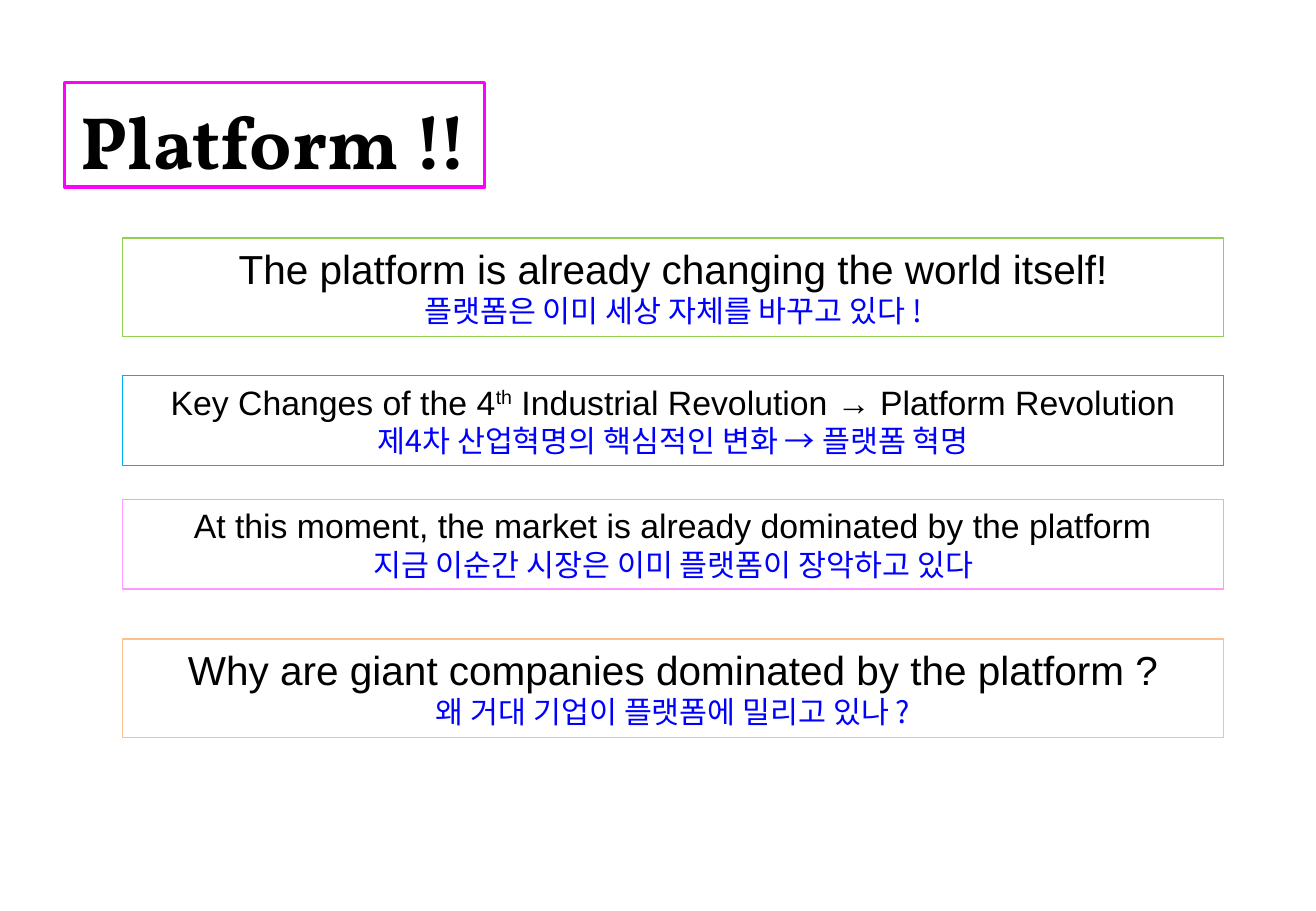
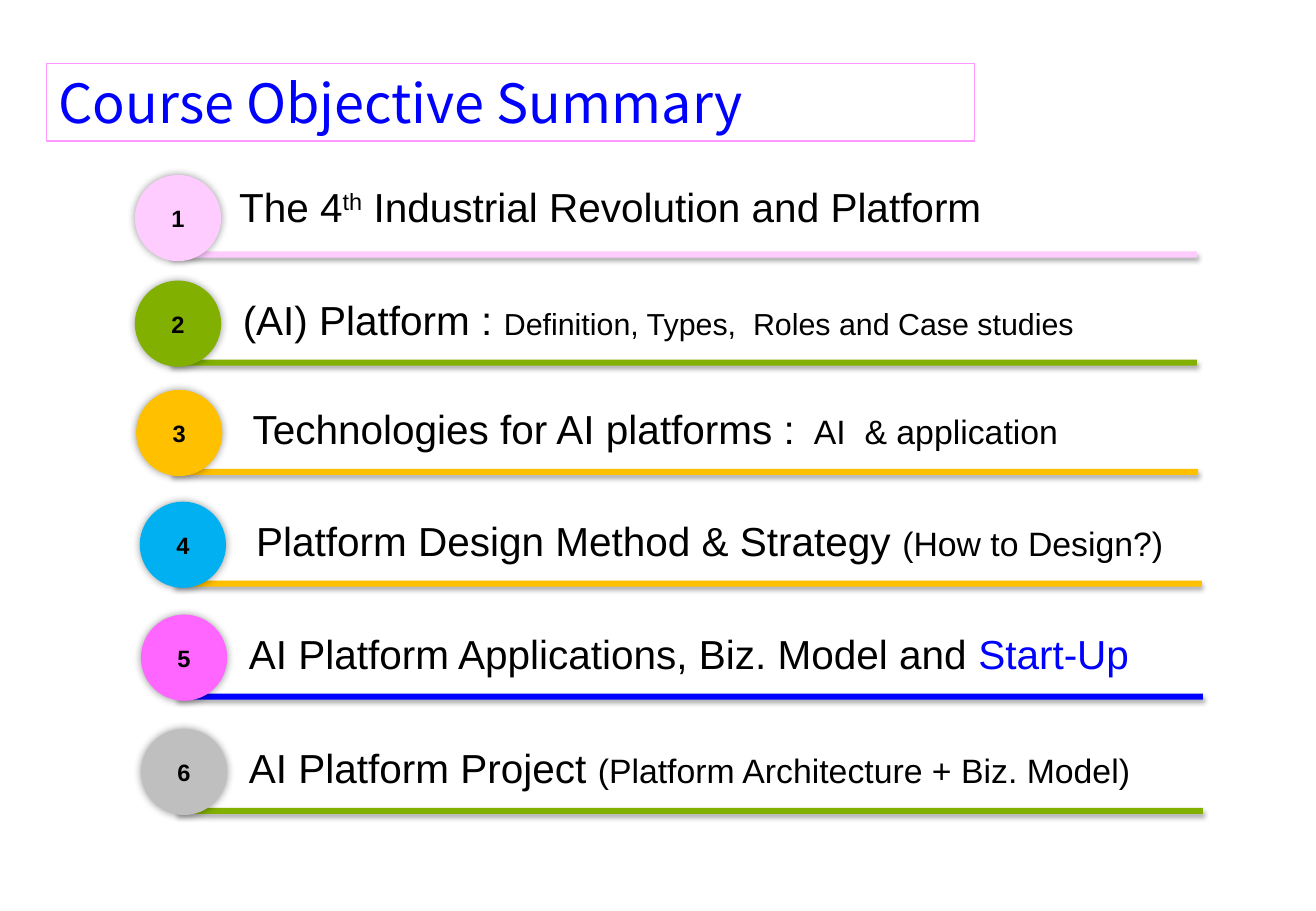
from lxml.etree import SubElement
from pptx import Presentation
from pptx.dml.color import RGBColor
from pptx.enum.shapes import MSO_SHAPE
from pptx.enum.text import MSO_ANCHOR, MSO_AUTO_SIZE, PP_ALIGN
from pptx.oxml.ns import qn
from pptx.util import Emu, Pt

EMU_PER_PX = 9144  # 100 px to the inch
SLIDE_WIDTH, SLIDE_HEIGHT = 1083, 750
TITLE_ONLY = 5

COLOURS = {
    "black": "000000", "blue": "0000FF", "magenta": "FF00FF", "pink": "FF99FF",
    "light pink": "FFCCFF", "hot pink": "FF66FF", "lime": "92D050",
    "olive": "82B000", "sky": "00B0F0", "amber": "FFC000",
    "peach": "FAC090", "grey": "BFBFBF",
}
KOREAN_FONT = "Noto Sans CJK KR"
BODY = {"name": "Arial", "size": 24, "bold": False, "colour": "black"}
KOREAN = {"name": KOREAN_FONT, "size": 18, "colour": "blue"}
RAISED = {"raised": 30}
MEDIUM = {"size": 20}
BADGE = {"size": 14, "bold": True}
BAR_SHADOW = {"blur": 3.1, "distance": 1.8, "angle": 90, "opacity": 35}
BADGE_SHADOW = {"blur": 5, "distance": 0, "angle": 0, "opacity": 40}


def px(length):
    return Emu(length * EMU_PER_PX)


def colour(name):
    return RGBColor.from_string(COLOURS[name])


class Deck:
    """Holds the presentation, its style and the current slide."""

    def __init__(self):
        self.presentation = Presentation()
        self.presentation.slide_width = px(SLIDE_WIDTH)
        self.presentation.slide_height = px(SLIDE_HEIGHT)

    def add_slide(self):
        layout = self.presentation.slide_layouts[TITLE_ONLY]
        self.slide = self.presentation.slides.add_slide(layout)

    def set_text(self, shape, paragraphs, align=PP_ALIGN.LEFT,
                 anchor=MSO_ANCHOR.TOP, wrap=True):
        """Fill a shape; each paragraph is a list of (text, format) runs."""
        frame = shape.text_frame
        settings = {"word_wrap": wrap, "vertical_anchor": anchor,
                    "auto_size": MSO_AUTO_SIZE.NONE}
        for name, value in settings.items():
            setattr(frame, name, value)
        for index, runs in enumerate(paragraphs):
            paragraph = frame.add_paragraph() if index else frame.paragraphs[0]
            paragraph.alignment = align
            for text, changes in runs:
                run = paragraph.add_run()
                run.text = text
                self.format_run(run, {**BODY, **changes})

    def format_run(self, run, style):
        font = run.font
        values = {"name": style["name"], "size": Pt(style["size"]), "bold": style["bold"]}
        for name, value in values.items():
            setattr(font, name, value)
        font.color.rgb = colour(style["colour"])
        properties = run._r.get_or_add_rPr()
        SubElement(properties, qn("a:ea"), typeface=KOREAN_FONT)
        if "raised" in style:
            properties.set("baseline", str(style["raised"] * 1000))

    def title(self, text, box, style, align, line=None):
        title = self.slide.shapes.title
        for name, value in zip(("left", "top", "width", "height"), box):
            setattr(title, name, px(value))
        if line:
            title.line.color.rgb = colour(line)
            title.line.width = Pt(0.75)
        self.set_text(title, [[(text, style)]], align, MSO_ANCHOR.MIDDLE)

    def shape(self, kind, box, fill=None, line=None, width=0.75, shadow=None, parent=None):
        shapes = (parent or self.slide).shapes
        shape = shapes.add_shape(kind, *map(px, box))
        shape.shadow.inherit = False
        if fill:
            shape.fill.solid()
            shape.fill.fore_color.rgb = colour(fill)
        else:
            shape.fill.background()
        if line:
            shape.line.color.rgb = colour(line)
            shape.line.width = Pt(width)
        else:
            shape.line.fill.background()
        if shadow:
            self.add_shadow(shape, **shadow)
        return shape

    def add_shadow(self, shape, blur, distance, angle, opacity):
        effects = shape._element.spPr.find(qn("a:effectLst"))
        outer = SubElement(effects, qn("a:outerShdw"), blurRad=str(int(Pt(blur))),
                           dist=str(int(Pt(distance))), dir=str(angle * 60000),
                           algn="ctr", rotWithShape="0")
        tint = SubElement(outer, qn("a:srgbClr"), val=COLOURS["black"])
        SubElement(tint, qn("a:alpha"), val=str(opacity * 1000))

    def statement(self, top, height, line, english, korean):
        box = self.shape(MSO_SHAPE.RECTANGLE, (101, top, 906, height), line=line)
        self.set_text(box, [english, [(korean, KOREAN)]], PP_ALIGN.CENTER)

    def objective(self, number, badge, text_left, fill, bar_fill, runs,
                  bar_drop=65, text_drop=7):
        """Group an underline bar, a numbered badge and the objective's text."""
        left, top = badge
        group = self.slide.shapes.add_group_shape()
        bar = self.shape(MSO_SHAPE.ROUNDED_RECTANGLE, (left + 30, top + bar_drop, 844, 5),
                         bar_fill, shadow=BAR_SHADOW, parent=group)
        bar.adjustments[0] = 0
        circle = self.shape(MSO_SHAPE.OVAL, (left, top, 71, 71), fill,
                            shadow=BADGE_SHADOW, parent=group)
        self.set_text(circle, [[(str(number), BADGE)]], PP_ALIGN.CENTER,
                      MSO_ANCHOR.MIDDLE, wrap=False)
        label_box = (text_left, top + text_drop, 843, 50)
        label = group.shapes.add_textbox(*map(px, label_box))
        self.set_text(label, [runs])


def build_platform_slide(deck):
    deck.add_slide()
    deck.title("Platform !!", (53, 68, 346, 94),
               {"name": "Vollkorn", "size": 44, "bold": True}, PP_ALIGN.CENTER)
    statements = [
        (196, 81, "lime", [("The platform is already changing the world itself!", {})],
         "플랫폼은 이미 세상 자체를 바꾸고 있다 !"),
        (309, 74, "sky",
         [("Key Changes of the 4", MEDIUM), ("th", {**MEDIUM, **RAISED}),
          (" Industrial Revolution → Platform Revolution", MEDIUM)],
         "제4차 산업혁명의 핵심적인 변화 → 플랫폼 혁명"),
        (411, 74, "pink",
         [("At this moment, the market is already dominated by the platform", MEDIUM)],
         "지금 이순간 시장은 이미 플랫폼이 장악하고 있다"),
        (526, 81, "peach", [("Why are giant companies dominated by the platform ?", {})],
         "왜 거대 기업이 플랫폼에 밀리고 있나 ?"),
    ]
    for statement in statements:
        deck.statement(*statement)
    deck.shape(MSO_SHAPE.RECTANGLE, (53, 68, 346, 86), line="magenta", width=2)


def build_objectives_slide(deck):
    deck.add_slide()
    deck.title("Course Objective Summary", (38, 52, 764, 64),
               {**KOREAN, "size": 32}, PP_ALIGN.LEFT, line="pink")
    deck.objective(1, (111, 144), 187, "light pink", "light pink",
                   [("The 4", {}), ("th", RAISED),
                    (" Industrial Revolution and Platform", {})],
                   bar_drop=63, text_drop=1)
    objectives = [
        ((111, 231), 190, "olive", "olive",
         [("(AI) Platform : ", {}),
          ("Definition, Types,  Roles and Case studies", {"size": 18})]),
        ((112, 321), 198, "amber", "amber",
         [("Technologies for AI platforms : ", {}), (" AI  & application", MEDIUM)]),
        ((115, 413), 201, "sky", "amber",
         [("Platform Design Method & Strategy ", {}), ("(How to Design?)", MEDIUM)]),
        ((116, 506), 195, "hot pink", "blue",
         [("AI Platform Applications, Biz. Model and ", {}),
          ("Start-Up", {"colour": "blue"})]),
        ((116, 600), 195, "grey", "olive",
         [("AI Platform Project ", {}),
          ("(Platform Architecture + Biz. Model)", MEDIUM)]),
    ]
    for number, objective in enumerate(objectives, start=2):
        deck.objective(number, *objective)


def main():
    deck = Deck()
    build_platform_slide(deck)
    build_objectives_slide(deck)
    deck.presentation.save("out.pptx")


if __name__ == "__main__":
    main()
